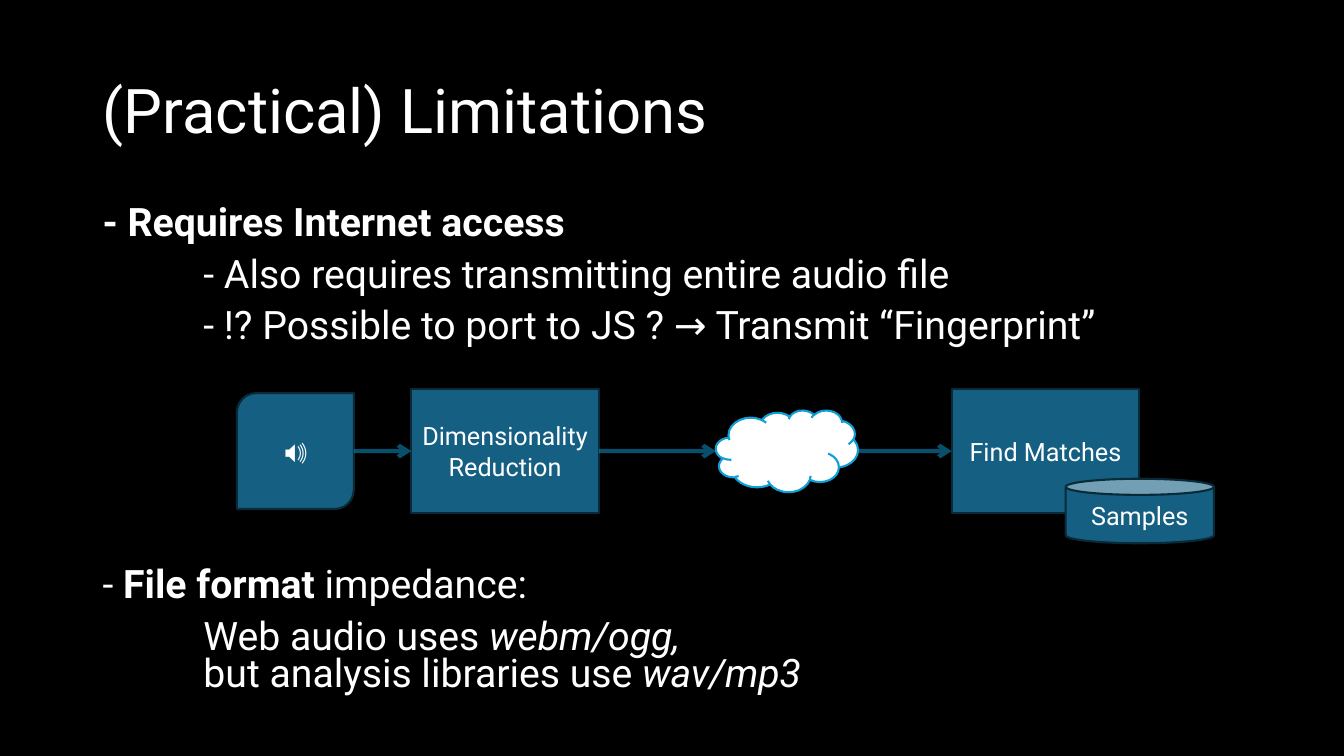
from dataclasses import dataclass
from typing import Optional

from lxml import etree
from pptx import Presentation
from pptx.dml.color import RGBColor
from pptx.enum.shapes import MSO_CONNECTOR, MSO_SHAPE
from pptx.enum.text import MSO_ANCHOR, MSO_AUTO_SIZE, PP_ALIGN
from pptx.oxml.ns import qn
from pptx.shapes.autoshape import Shape
from pptx.slide import Slide
from pptx.text.text import TextFrame
from pptx.util import Inches, Pt

STRAIGHT = MSO_CONNECTOR.STRAIGHT
RECTANGLE = MSO_SHAPE.RECTANGLE
CAN = MSO_SHAPE.CAN
CLOUD = MSO_SHAPE.CLOUD
DIAGONAL_ROUND = MSO_SHAPE.ROUND_2_DIAG_RECTANGLE
MIDDLE = MSO_ANCHOR.MIDDLE
TOP = MSO_ANCHOR.TOP
LEFT = PP_ALIGN.LEFT
CENTER = PP_ALIGN.CENTER
NO_AUTOFIT = MSO_AUTO_SIZE.NONE

FONT = "Roboto"
BLACK, WHITE = "000000", "FFFFFF"
BOX_FILL, BOX_LINE, ACCENT = "156082", "092A39", "0F9ED5"
FLOW_MIDDLE = 4.475
LEFT_SITE, RIGHT_SITE = 1, 3


@dataclass
class Node:
    kind: MSO_SHAPE
    left: float
    width: float
    height: float
    label: str = ""
    middle: float = FLOW_MIDDLE
    fill: str = BOX_FILL
    line: str = BOX_LINE


@dataclass
class Segment:
    text: str
    bold: bool = False
    italic: bool = False


@dataclass
class BodyLine:
    segments: list[Segment]
    indent: float = 0


@dataclass
class BodyBlock:
    top: float
    height: float
    lines: list[BodyLine]


SPEAKER = Node(DIAGONAL_ROUND, 2.35, 1.16, 1.15, "🔊")
REDUCTION = Node(RECTANGLE, 4.08, 1.86, 1.23, "Dimensionality Reduction")
MATCHES = Node(RECTANGLE, 9.44, 1.86, 1.23, "Find Matches")
SAMPLES = Node(CAN, 10.57, 1.47, 0.64, "Samples", middle=5.07)
INTERNET = Node(CLOUD, 7.1, 1.41, 0.81, fill=WHITE, line=ACCENT)

BODY_BLOCKS = [
    BodyBlock(2, 1.6, [
        BodyLine([Segment("- Requires Internet access", bold=True)]),
        BodyLine([Segment("- Also requires transmitting entire audio file")], 1),
        BodyLine([Segment("- ⁉ Possible to port to JS ? → Transmit “Fingerprint”")], 1),
    ]),
    BodyBlock(5.59, 1.6, [
        BodyLine([Segment("- "), Segment("File format ", bold=True), Segment("impedance:")]),
        BodyLine([
            Segment("Web audio uses "),
            Segment("webm/ogg,\v", italic=True),
            Segment("but analysis libraries use "),
            Segment("wav/mp3", italic=True),
        ], 1),
    ]),
]


def color(value: str) -> RGBColor:
    return RGBColor.from_string(value)


def style_font(font, size: float, bold: bool = False, italic: bool = False) -> None:
    font.name = FONT
    font.size = Pt(size)
    font.bold = bold
    font.italic = italic
    font.color.rgb = color(WHITE)


def set_label(frame: TextFrame, text: str, size: float, alignment: PP_ALIGN) -> None:
    frame.text = text
    frame.word_wrap = True
    frame.vertical_anchor = MIDDLE
    paragraph = frame.paragraphs[0]
    paragraph.alignment = alignment
    for run in paragraph.runs:
        style_font(run.font, size)


def add_title(slide: Slide, text: str) -> None:
    title = slide.shapes.title
    title.left, title.top = Inches(0.92), Inches(0.4)
    title.width, title.height = Inches(11.5), Inches(1.45)
    set_label(title.text_frame, text, 44, LEFT)
    title.text_frame.auto_size = NO_AUTOFIT
    title.text_frame.paragraphs[0].line_spacing = 0.9


def add_body(slide: Slide, block: BodyBlock) -> None:
    box = slide.shapes.add_textbox(
        Inches(0.92), Inches(block.top), Inches(11.5), Inches(block.height))
    frame = box.text_frame
    frame.word_wrap = True
    frame.vertical_anchor = TOP
    for index, line in enumerate(block.lines):
        paragraph = frame.add_paragraph() if index else frame.paragraphs[0]
        paragraph.line_spacing = 0.8
        paragraph.space_before = Pt(10)
        paragraph.alignment = LEFT
        properties = paragraph._p.get_or_add_pPr()
        properties.set("marL", str(Inches(line.indent)))
        properties.set("indent", "0")
        for segment in line.segments:
            run = paragraph.add_run()
            run.text = segment.text.rstrip("\v")
            style_font(run.font, 28, segment.bold, segment.italic)
            if segment.text.endswith("\v"):
                paragraph.add_line_break()


def add_node(slide: Slide, node: Node) -> Shape:
    shape = slide.shapes.add_shape(
        node.kind, Inches(node.left), Inches(node.middle - node.height / 2),
        Inches(node.width), Inches(node.height))
    shape.shadow.inherit = False
    shape.fill.solid()
    shape.fill.fore_color.rgb = color(node.fill)
    shape.line.color.rgb = color(node.line)
    shape.line.width = Pt(1.5)
    if node.label:
        set_label(shape.text_frame, node.label, 18, CENTER)
    return shape


def add_arrow(slide: Slide, start: Node, end: Node,
              start_box: Optional[Shape] = None, end_box: Optional[Shape] = None) -> None:
    middle = Inches(FLOW_MIDDLE)
    arrow = slide.shapes.add_connector(
        STRAIGHT, Inches(start.left + start.width), middle, Inches(end.left), middle)
    if start_box is not None:
        arrow.begin_connect(start_box, RIGHT_SITE)
    if end_box is not None:
        arrow.end_connect(end_box, LEFT_SITE)
    arrow.line.color.rgb = color(ACCENT)
    arrow.line.width = Pt(3)
    line = arrow.line._get_or_add_ln()
    accent = line.find(".//" + qn("a:srgbClr"))
    etree.SubElement(accent, qn("a:alpha"), val="50000")
    etree.SubElement(line, qn("a:tailEnd"), type="arrow")
    etree.SubElement(arrow._element.spPr, qn("a:effectLst"))


def main() -> None:
    presentation = Presentation()
    presentation.slide_width = Inches(13.33)
    presentation.slide_height = Inches(7.5)
    slide = presentation.slides.add_slide(presentation.slide_layouts[5])
    slide.background.fill.solid()
    slide.background.fill.fore_color.rgb = color(BLACK)

    add_title(slide, "(Practical) Limitations")
    for block in BODY_BLOCKS:
        add_body(slide, block)

    add_node(slide, SPEAKER)
    reduction_box = add_node(slide, REDUCTION)
    matches_box = add_node(slide, MATCHES)
    add_node(slide, SAMPLES)
    add_node(slide, INTERNET)

    add_arrow(slide, SPEAKER, REDUCTION, end_box=reduction_box)
    add_arrow(slide, REDUCTION, INTERNET, start_box=reduction_box)
    add_arrow(slide, INTERNET, MATCHES, end_box=matches_box)
    presentation.save("out.pptx")


if __name__ == "__main__":
    main()
